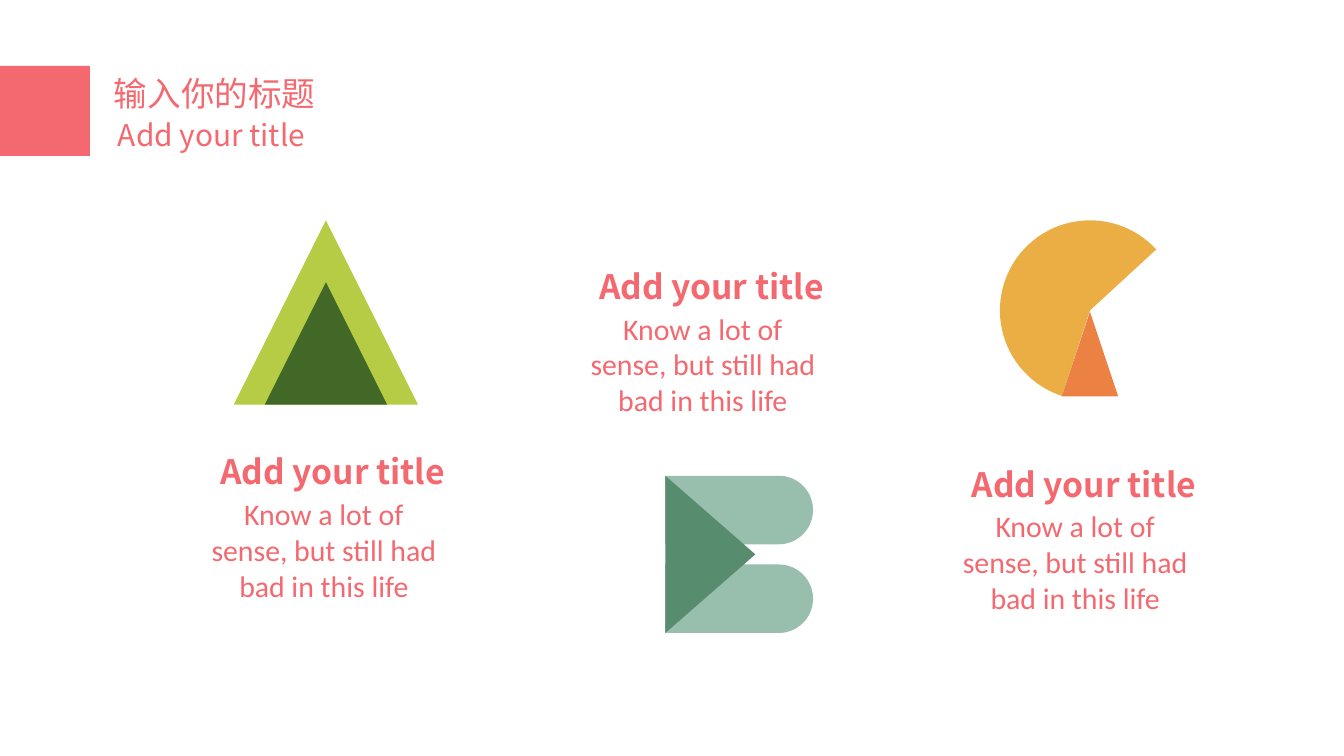
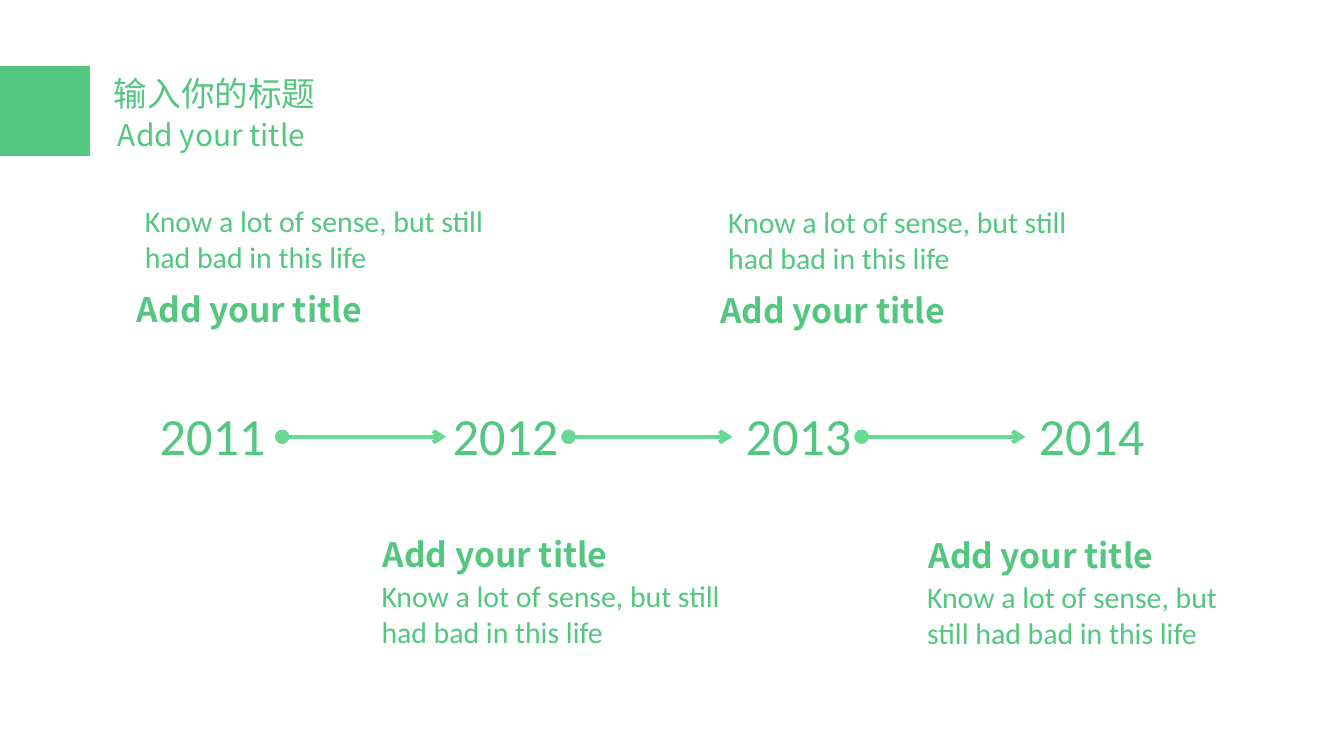
import math
from dataclasses import dataclass

from lxml import etree
from pptx import Presentation
from pptx.dml.color import RGBColor
from pptx.enum import shapes, text
from pptx.oxml import ns
from pptx.util import Inches, Pt


@dataclass(frozen=True)
class Theme:
    coral: str = "F46970"
    green: str = "53C780"
    mint: str = "67D993"
    lime: str = "B6CC45"
    forest: str = "416827"
    sage: str = "98BEAD"
    moss: str = "578C6E"
    amber: str = "EBAE44"
    orange: str = "EC8144"
    title_font: str = "Noto Sans CJK SC"
    body_font: str = "Calibri"
    title_size: int = 18
    body_size: int = 16
    year_size: int = 28
    line_width: float = 2.25
    dot_outline: float = 2


@dataclass(frozen=True)
class Box:
    left: float
    top: float
    width: float
    height: float

    def lengths(self) -> list:
        return [Inches(n) for n in (self.left, self.top, self.width, self.height)]


@dataclass(frozen=True)
class Caption:
    """Body text with a heading placed relative to its corner."""
    body: Box
    heading_dx: float
    heading_dy: float
    centered: bool = False


THEME = Theme()
SHAPE = shapes.MSO_SHAPE
HEADING = "Add your title"
BODY = "Know a lot of sense, but still had bad in this life"


# Drawing helpers
def paint(shape, color: str) -> None:
    shape.shadow.inherit = False
    shape.fill.solid()
    shape.fill.fore_color.rgb = RGBColor.from_string(color)
    shape.line.fill.background()


def add_shape(parent, kind, box: Box, color: str, rotation: float = 0):
    shape = parent.shapes.add_shape(kind, *box.lengths())
    paint(shape, color)
    shape.rotation = rotation
    return shape


def add_text(parent, box: Box, words: str, color: str, font: str, size: float,
             bold: bool = False, centered: bool = False) -> None:
    text_frame = parent.shapes.add_textbox(*box.lengths()).text_frame
    text_frame.word_wrap = True
    text_frame.auto_size = text.MSO_AUTO_SIZE.SHAPE_TO_FIT_TEXT
    text_frame.text = words
    paragraph = text_frame.paragraphs[0]
    if centered:
        paragraph.alignment = text.PP_ALIGN.CENTER
    run = paragraph.runs[0]
    run.font.size = Pt(size)
    run.font.bold = bold
    run.font.color.rgb = RGBColor.from_string(color)
    run.font.name = font
    east_asian = etree.SubElement(run.font._element, ns.qn("a:ea"))
    east_asian.set("typeface", font)


def add_header(slide, color: str) -> None:
    add_shape(slide, SHAPE.RECTANGLE, Box(0, 0.49, 0.67, 0.67), color)
    add_text(slide, Box(0.75, 0.49, 1.73, 0.4), "输入你的标题", color,
             THEME.title_font, THEME.title_size)
    add_text(slide, Box(0.78, 0.82, 1.73, 0.37), HEADING, color,
             THEME.title_font, THEME.body_size)


def add_caption(slide, caption: Caption, color: str) -> None:
    body = caption.body
    add_text(slide, body, BODY, color, THEME.body_font, THEME.body_size,
             centered=caption.centered)
    heading = Box(body.left + caption.heading_dx, body.top + caption.heading_dy, 2.28, 0.4)
    add_text(slide, heading, HEADING, color, THEME.title_font, THEME.title_size, bold=True)


def add_round_bar(parent, box: Box, color: str) -> None:
    """Bar with a square left end and a half-round right end."""
    radius = box.height / 2
    center_x, center_y = box.left + box.width - radius, box.top + radius
    points = [(center_x + radius * math.cos(math.radians(angle)),
               center_y + radius * math.sin(math.radians(angle)))
              for angle in range(-90, 91, 5)]
    points.append((box.left, box.top + box.height))
    builder = parent.shapes.build_freeform(
        Inches(box.left), Inches(box.top), scale=1.0)
    builder.add_line_segments([(Inches(x), Inches(y)) for x, y in points], close=True)
    paint(builder.convert_to_shape(), color)


def add_step_arrow(slide, left: float) -> None:
    """Arrow that starts from a dot."""
    group = slide.shapes.add_group_shape()
    middle, length, dot = 3.25, 1.26, 0.08
    connector = group.shapes.add_connector(
        shapes.MSO_CONNECTOR.STRAIGHT, Inches(left), Inches(middle),
        Inches(left + length), Inches(middle))
    connector.line.color.rgb = RGBColor.from_string(THEME.mint)
    connector.line.width = Pt(THEME.line_width)
    tail = etree.SubElement(connector.line._get_or_add_ln(), ns.qn("a:tailEnd"))
    tail.set("type", "arrow")
    etree.SubElement(connector._element.spPr, ns.qn("a:effectLst"))
    circle = add_shape(group, SHAPE.OVAL, Box(left, middle - dot / 2, dot, dot), THEME.mint)
    circle.line.color.rgb = RGBColor.from_string(THEME.mint)
    circle.line.width = Pt(THEME.dot_outline)


# Letter icons
def add_icon_a(slide) -> None:
    group = slide.shapes.add_group_shape()
    add_shape(group, SHAPE.ISOSCELES_TRIANGLE, Box(1.74, 1.64, 1.37, 1.37), THEME.lime)
    add_shape(group, SHAPE.ISOSCELES_TRIANGLE, Box(1.97, 2.1, 0.91, 0.91), THEME.forest)


def add_icon_b(slide) -> None:
    group = slide.shapes.add_group_shape()
    for top in (4.2, 3.54):
        add_round_bar(group, Box(4.95, top, 1.1, 0.51), THEME.sage)
    add_shape(group, SHAPE.ISOSCELES_TRIANGLE, Box(4.7, 3.79, 1.17, 0.67), THEME.moss, 90)


def add_icon_c(slide) -> None:
    group = slide.shapes.add_group_shape()
    pie = add_shape(group, SHAPE.PIE, Box(7.44, 1.64, 1.34, 1.34), THEME.amber, 47.4)
    pie.adjustments[0] = 36.45
    pie.adjustments[1] = 162
    add_shape(group, SHAPE.ISOSCELES_TRIANGLE, Box(7.9, 2.32, 0.42, 0.63), THEME.orange)


# Slides
def build_icons_slide(slide) -> None:
    add_header(slide, THEME.coral)
    add_icon_a(slide)
    add_icon_b(slide)
    add_icon_c(slide)
    for left, top in ((1.44, 3.64), (4.26, 2.26), (7.03, 3.73)):
        caption = Caption(Box(left, top, 1.94, 0.91), 0.1, -0.33, centered=True)
        add_caption(slide, caption, THEME.coral)


def build_timeline_slide(slide) -> None:
    add_header(slide, THEME.green)
    for index in range(4):
        add_text(slide, Box(1.09 + 2.18 * index, 2.95, 1.7, 0.57), str(2011 + index),
                 THEME.green, THEME.body_font, THEME.year_size)
    for left in (2.06, 4.19, 6.37):
        add_step_arrow(slide, left)
    below, above = (0.01, -0.33), (-0.06, 0.64)
    for left, top, width, offset in (
            (2.74, 4.25, 2.82, below), (6.8, 4.26, 2.69, below),
            (0.98, 1.46, 2.76, above), (5.32, 1.47, 2.82, above)):
        add_caption(slide, Caption(Box(left, top, width, 0.64), *offset), THEME.green)


# Widescreen 16:9 presentation
presentation = Presentation()
presentation.slide_width = Inches(10)
presentation.slide_height = Inches(10 * 9 / 16)
blank = presentation.slide_layouts[6]
for build in (build_icons_slide, build_timeline_slide):
    build(presentation.slides.add_slide(blank))
presentation.save("out.pptx")
